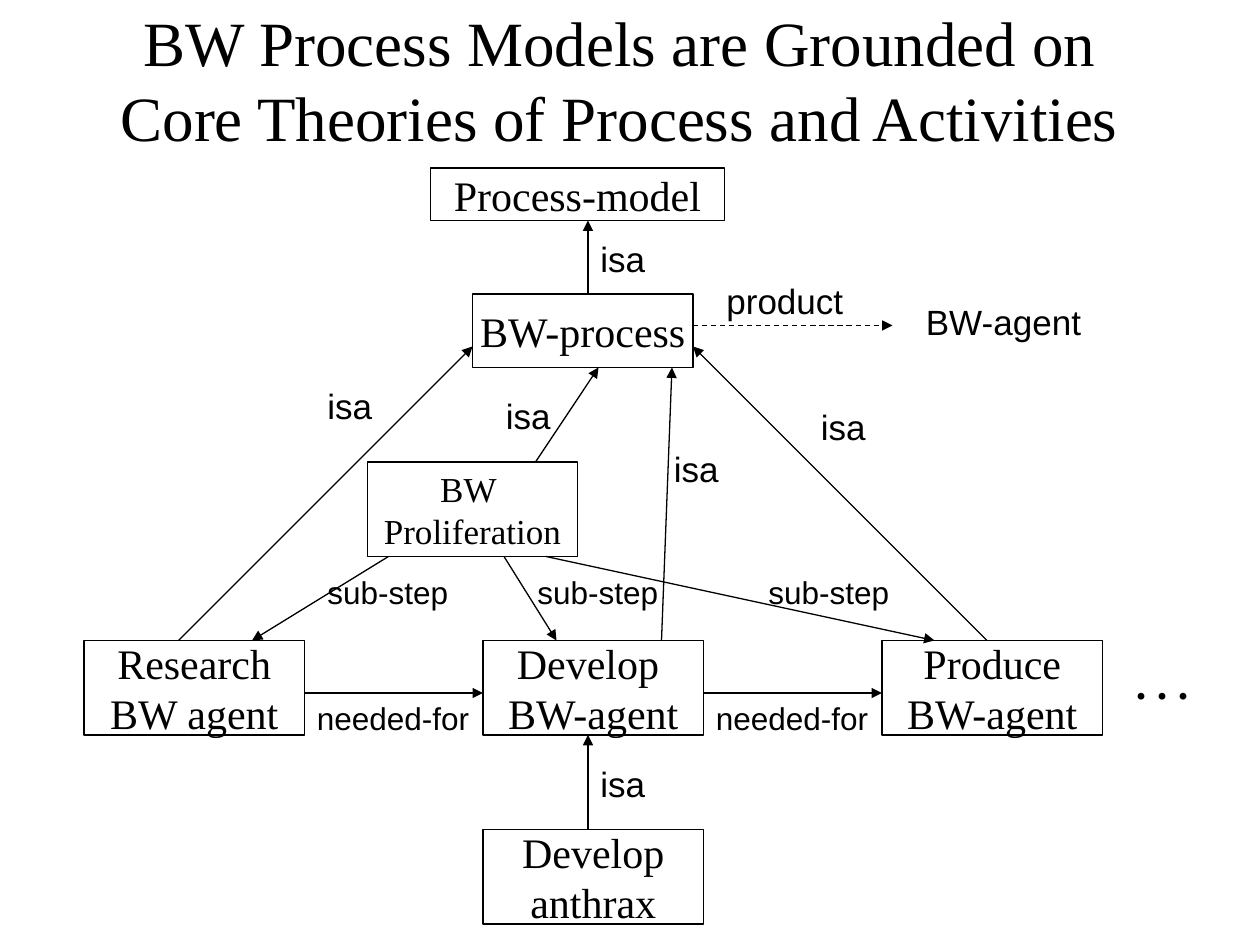
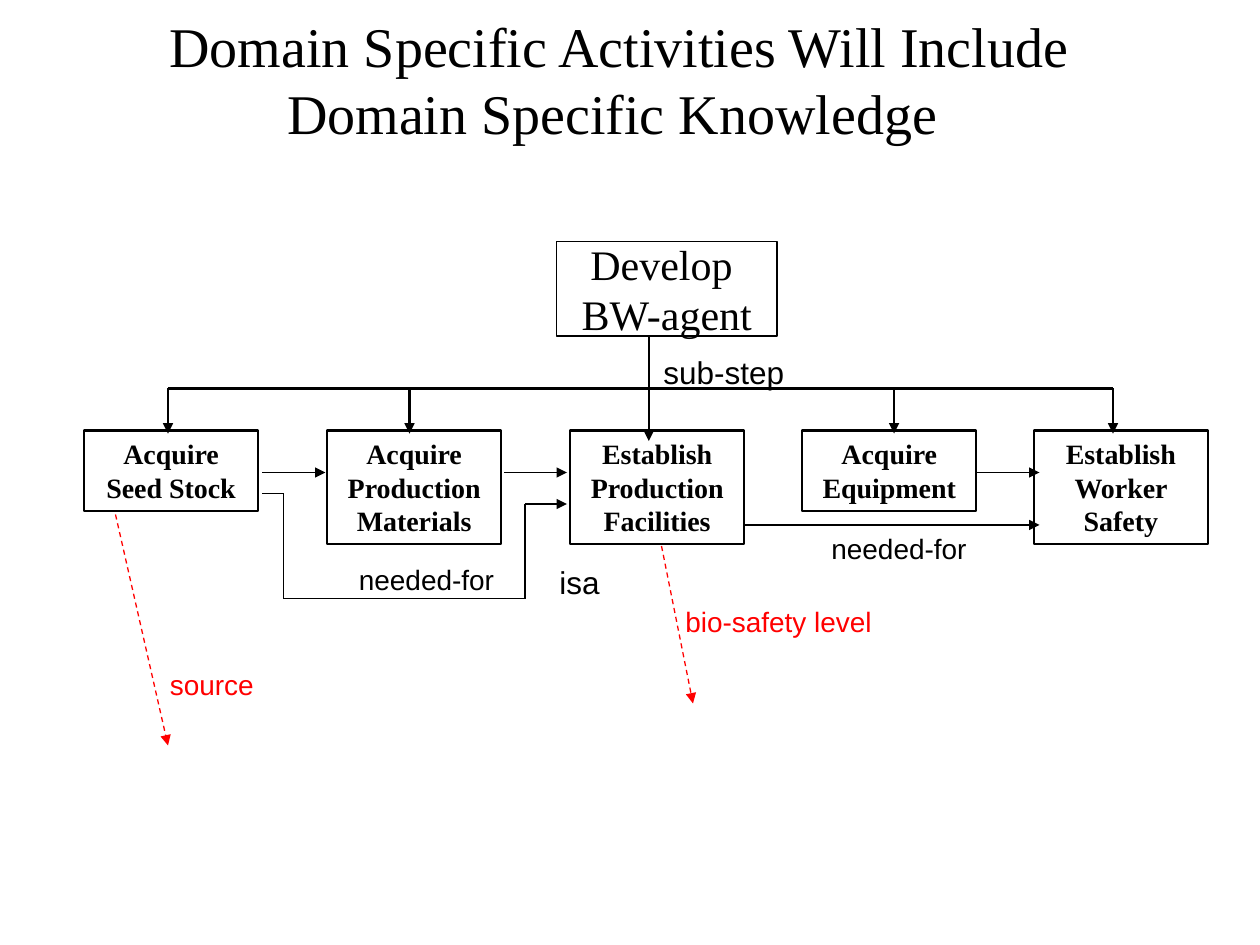
from itertools import pairwise

from lxml import etree
from pptx import Presentation
from pptx.dml.color import RGBColor
from pptx.enum.dml import MSO_LINE_DASH_STYLE as Dash
from pptx.enum.shapes import MSO_CONNECTOR as Connector, MSO_SHAPE as Shape
from pptx.enum.text import MSO_ANCHOR as Anchor, MSO_AUTO_SIZE as AutoSize, PP_ALIGN as Align
from pptx.oxml.ns import qn
from pptx.util import Inches, Pt

COLORS = {"ink": "000000", "paper": "FFFFFF", "property": "FF0000"}
SERIF, SANS = "Times New Roman", "Arial"
CELL = 1 / 12  # the grid has 120 columns and 90 rows


def grid(*cells):
    return [Inches(cell * CELL) for cell in cells]


class DiagramDeck:
    """Holds the shared style and the slide being drawn; lengths are grid cells."""

    def __init__(self):
        self.deck = Presentation()
        self.deck.slide_width, self.deck.slide_height = grid(120, 90)
        self.slide = None

    def color(self, name):
        return RGBColor.from_string(COLORS[name])

    def format_text(self, frame, size, font, color="ink", bold=False, align=Align.LEFT):
        for para in frame.paragraphs:
            para.alignment = align
            for span in para.runs:
                span.font.name, span.font.size, span.font.bold = font, Pt(size), bold
                span.font.color.rgb = self.color(color)

    def add_slide(self, title, size):
        self.slide = self.deck.slides.add_slide(self.deck.slide_layouts[5])
        self.slide.background.fill.solid()
        self.slide.background.fill.fore_color.rgb = self.color("paper")
        holder = self.slide.shapes.title
        holder.left, holder.top, holder.width, holder.height = grid(8, 0, 102, 15)
        frame = holder.text_frame
        frame.text = title
        frame.auto_size, frame.vertical_anchor = AutoSize.NONE, Anchor.MIDDLE
        self.format_text(frame, size, SERIF, align=Align.CENTER)

    def box(self, text, left, top, width=21, height=9, size=24, weight=0.75,
            bold=False, wrap=False, anchor=Anchor.MIDDLE):
        shape = self.slide.shapes.add_shape(Shape.RECTANGLE, *grid(left, top, width, height))
        shape.shadow.inherit = False
        shape.fill.background()
        shape.line.color.rgb, shape.line.width = self.color("ink"), Pt(weight)
        frame = shape.text_frame
        frame.text, frame.word_wrap, frame.vertical_anchor = text, wrap, anchor
        self.format_text(frame, size, SERIF, bold=bold, align=Align.CENTER)

    def activity(self, text, left, height):
        self.box(text, left, 41, 16.6, height, size=16, weight=1.25,
                 bold=True, wrap=True, anchor=Anchor.TOP)

    def label(self, text, left, top, width, size=20, color="ink", font=SANS, bold=False):
        height = (size / 60 + 0.1) / CELL
        frame = self.slide.shapes.add_textbox(*grid(left, top, width, height)).text_frame
        frame.text, frame.word_wrap, frame.auto_size = text, False, AutoSize.NONE
        self.format_text(frame, size, font, color, bold)

    def line(self, start, end, weight=0.75, color="ink", dashed=False, arrow=True):
        link = self.slide.shapes.add_connector(Connector.STRAIGHT, *grid(*start, *end))
        link.line.color.rgb, link.line.width = self.color(color), Pt(weight)
        if dashed:
            link.line.dash_style = Dash.DASH
        if arrow:
            etree.SubElement(link.line._get_or_add_ln(), qn("a:tailEnd"), type="triangle")
        etree.SubElement(link._element.spPr, qn("a:effectLst"))


def draw_process_models(page):
    page.add_slide("BW Process Models are Grounded on Core Theories of Process and Activities", 36)
    page.box("Process-model", 41, 16, 28, 5)
    page.box("BW-process", 45, 28, 21, 7)
    page.box("BW \nProliferation", 35, 44, 20, 9, size=20)
    for text, left in (("Research\nBW agent", 8), ("Develop \nBW-agent", 46),
                       ("Produce\nBW-agent", 84)):
        page.box(text, left, 61)
    page.box("Develop\nanthrax", 46, 79)

    isa_lines = [((56, 28), (56, 21)), ((17, 61), (45, 33)), ((51, 44), (57, 35)),
                 ((94, 61), (66, 33)), ((63, 61), (64, 35)), ((56, 79), (56, 70))]
    sub_step_lines = [((37, 53), (24, 61)), ((48, 53), (53, 61)), ((52, 53), (89, 61))]
    for start, end in isa_lines + sub_step_lines:
        page.line(start, end)
    page.line((66, 31), (85, 31), dashed=True)
    for left in (29, 67):
        page.line((left, 66), (left + 17, 66))
        page.label("needed-for", left, 66, 17, size=18)

    for left, top in ((56, 22), (30, 36), (47, 37), (77, 38), (63, 42), (56, 72)):
        page.label("isa", left, top, 7)
    for left in (30, 50, 72):
        page.label("sub-step", left, 54, 14, size=18)
    page.label("product", 68, 26, 13.8)
    page.label("BW-agent", 87, 28, 17.5)
    page.label(". . .", 107, 62, 7.8, size=24, font=SERIF, bold=True)


def draw_domain_activities(page):
    page.add_slide("Domain Specific Activities Will Include Domain Specific Knowledge ", 32)
    page.box("Develop \nBW-agent", 53, 23)
    for text, left, height in (("Acquire Seed Stock", 8, 7.7),
                               ("Acquire Production Materials", 31.15, 10.8),
                               ("Establish Production Facilities", 54.3, 10.8),
                               ("Acquire Equipment", 76.4, 7.7),
                               ("Establish Worker Safety", 98.45, 10.8)):
        page.activity(text, left, height)

    page.line((61.8, 32), (61.8, 42), weight=1.25)
    page.line((16, 37), (106, 37), weight=1.25, arrow=False)
    for column in (16, 39, 85.15, 106):
        page.line((column, 37), (column, 41.3), weight=1.25)

    for column in (25, 48, 93):
        page.line((column, 45), (column + 6, 45))
    page.line((71, 50), (99, 50))
    detour = [(25, 47), (27, 47), (27, 57), (50, 57), (50, 48), (54, 48)]
    for start, end in pairwise(detour):
        page.line(start, end, arrow=end == detour[-1])

    page.line((63, 52), (66, 67), color="property", dashed=True)
    page.line((11, 49), (16, 71), color="property", dashed=True)

    page.label("sub-step", 62, 33, 14, size=18)
    page.label("isa", 52.1, 53, 6.5, size=18)
    for left, top in ((33, 53), (78, 50)):
        page.label("needed-for", left, top, 15.5, size=16)
    page.label("bio-safety level", 64.1, 57, 20.4, size=16, color="property")
    page.label("source", 15, 63, 10.6, size=16, color="property")


def main():
    page = DiagramDeck()
    draw_process_models(page)
    draw_domain_activities(page)
    page.deck.save("out.pptx")


if __name__ == "__main__":
    main()
